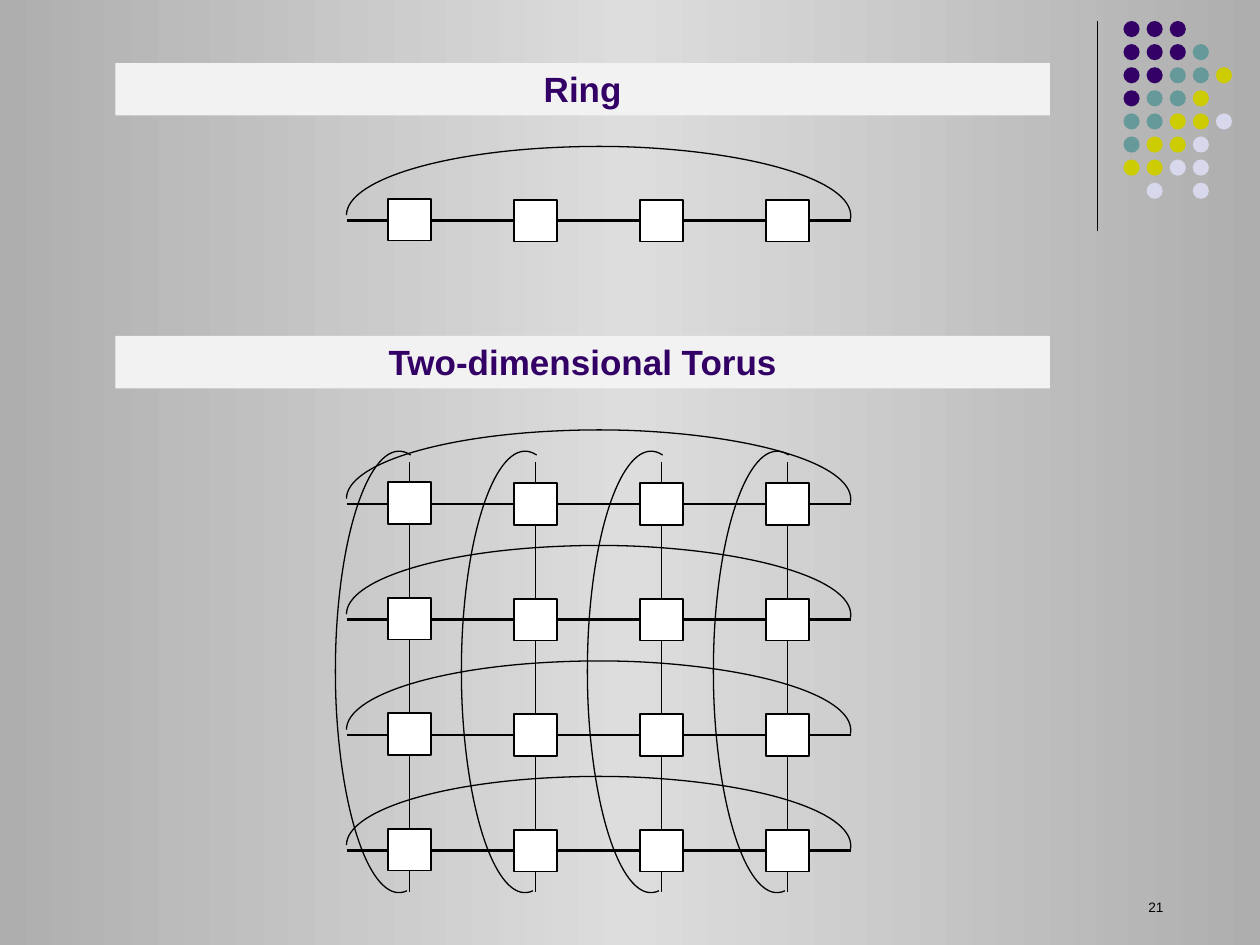
"""Build a slide that shows a ring and a two-dimensional torus network."""
from copy import deepcopy
from lxml.etree import SubElement
from pptx import Presentation
from pptx.dml.color import RGBColor
from pptx.enum.shapes import MSO_CONNECTOR, MSO_SHAPE
from pptx.enum.text import MSO_ANCHOR, MSO_AUTO_SIZE, PP_ALIGN
from pptx.oxml.ns import qn
from pptx.util import Pt

BLACK = RGBColor(0x00, 0x00, 0x00)
WHITE = RGBColor(0xFF, 0xFF, 0xFF)
PURPLE = RGBColor(0x33, 0x00, 0x66)
TEAL = RGBColor(0x66, 0x99, 0x99)
YELLOW = RGBColor(0xCC, 0xCC, 0x00)
LILAC = RGBColor(0xD8, 0xD8, 0xEC)
PALE = RGBColor(0xF2, 0xF2, 0xF2)
GREY = RGBColor(0xAE, 0xAE, 0xAE)
LIGHT = RGBColor(0xDD, 0xDD, 0xDD)


def write(shape, text, size, color, bold=False, align=PP_ALIGN.CENTER,
          anchor=MSO_ANCHOR.TOP):
    frame = shape.text_frame
    frame.word_wrap = True
    frame.auto_size = MSO_AUTO_SIZE.NONE
    frame.vertical_anchor = anchor
    frame.margin_left = frame.margin_right = Pt(7.2)
    frame.margin_top = frame.margin_bottom = Pt(3.6)
    para = frame.paragraphs[0]
    para.alignment = align
    run = para.add_run()
    run.text = text
    font = run.font
    font.name, font.size, font.bold = "Arial", Pt(size), bold
    font.color.rgb = color


def trace(shapes, nodes, left, top, width, height, turn=0):
    """Draw a chain of cubic curves, with nodes given inside the box."""
    dots = [(Pt(x), Pt(y)) for x, y in nodes]
    draft = shapes.build_freeform(*dots[0])
    draft.add_line_segments(dots[1:], close=False)
    curve = draft.convert_to_shape()
    curve.left, curve.top = Pt(left), Pt(top)
    curve.width, curve.height = Pt(width), Pt(height)
    curve.rotation = turn
    route = curve.element.find(".//" + qn("a:path"))
    route.set("w", str(Pt(width)))
    route.set("h", str(Pt(height)))
    for child in list(route):
        route.remove(child)
    for k, (x, y) in enumerate(dots):
        if k == 0:
            step = SubElement(route, qn("a:moveTo"))
        elif k % 3 == 1:
            step = SubElement(route, qn("a:cubicBezTo"))
        SubElement(step, qn("a:pt"), x=str(x), y=str(y))
    curve.shadow.inherit = False
    curve.fill.background()
    curve.line.color.rgb = BLACK
    curve.line.width = Pt(0.75)


deck = Presentation()
deck.slide_width, deck.slide_height = Pt(720), Pt(540)
slide = deck.slides.add_slide(deck.slide_layouts[5])
shapes = slide.shapes

fill = slide.background.fill
fill.gradient()
fill.gradient_angle = 0
stops = slide.element.find(".//" + qn("a:gsLst"))
stops.insert(1, deepcopy(stops[0]))
for stop, spot, color in zip(fill.gradient_stops, (0, 0.5, 1), (GREY, LIGHT, GREY)):
    stop.position = spot
    stop.color.rgb = color

hues = {"P": PURPLE, "T": TEAL, "Y": YELLOW, "L": LILAC}
rows = ["PPP", "PPPT", "PPTTY", "PTTY", "TTYYL", "TYYL", "YYLL", " L L"]
for j, row in enumerate(rows):
    for i, key in enumerate(row):
        if key in hues:
            dot = shapes.add_shape(MSO_SHAPE.OVAL, Pt(642 + 13.2 * i),
                                   Pt(12 + 13.2 * j), Pt(9.2), Pt(9.2))
            dot.shadow.inherit = False
            dot.fill.solid()
            dot.fill.fore_color.rgb = hues[key]
            dot.line.fill.background()

page = shapes.add_textbox(Pt(516), Pt(510), Pt(156), Pt(18))
write(page, "21", 7.8, BLACK, align=PP_ALIGN.RIGHT)

second = shapes.add_textbox(0, 0, 0, 0)
for banner, text, top in ((shapes.title, "Ring", 36),
                          (second, "Two-dimensional Torus", 192)):
    banner.left, banner.top = Pt(66), Pt(top)
    banner.width, banner.height = Pt(534), Pt(30)
    banner.fill.solid()
    banner.fill.fore_color.rgb = PALE
    write(banner, text, 20, PURPLE, bold=True, anchor=MSO_ANCHOR.BOTTOM)

cols = [234 + 72 * i for i in range(4)]
tiers = [126] + [288 + 66 * j for j in range(4)]

lines = [(627, 12, 627, 132, 0.75)]
lines += [(x, 264, x, 510, 0.75) for x in cols]
lines += [(198, y, 486, y, 1.39) for y in tiers]
for *ends, width in lines:
    line = shapes.add_connector(MSO_CONNECTOR.STRAIGHT, *map(Pt, ends))
    line.line.color.rgb = BLACK
    line.line.width = Pt(width)
    SubElement(line.element.spPr, qn("a:effectLst"))

arch = [(0, 39), (0, 19.7), (51.8, 3.1), (121.7, 0.2), (136.8, -0.5),
        (151.9, -0.5), (167, 0.2), (239.8, 3.8), (291.6, 21.1), (288, 41.3)]
loop = [(1, 40.6), (-7.7, 21.8), (38.4, 3.8), (105.4, 0.2), (119, -0.5),
        (133.4, -0.5), (147.8, 0.2), (217, 3.8), (263, 23.3), (250, 42.7)]

for y in tiers:
    for i, x in enumerate(cols):
        drop = 0.6 if i else 0
        node = shapes.add_shape(MSO_SHAPE.RECTANGLE, Pt(x - 12.3),
                                Pt(y - 12.4 + drop), Pt(24.5), Pt(23.8))
        node.shadow.inherit = False
        node.fill.solid()
        node.fill.fore_color.rgb = WHITE
        node.line.color.rgb = BLACK
        node.line.width = Pt(1)
    trace(shapes, arch, 198, y - 42, 288, 78)
for x in cols:
    trace(shapes, loop, x - 132, 348, 252, 72, turn=270)

deck.save("out.pptx")
